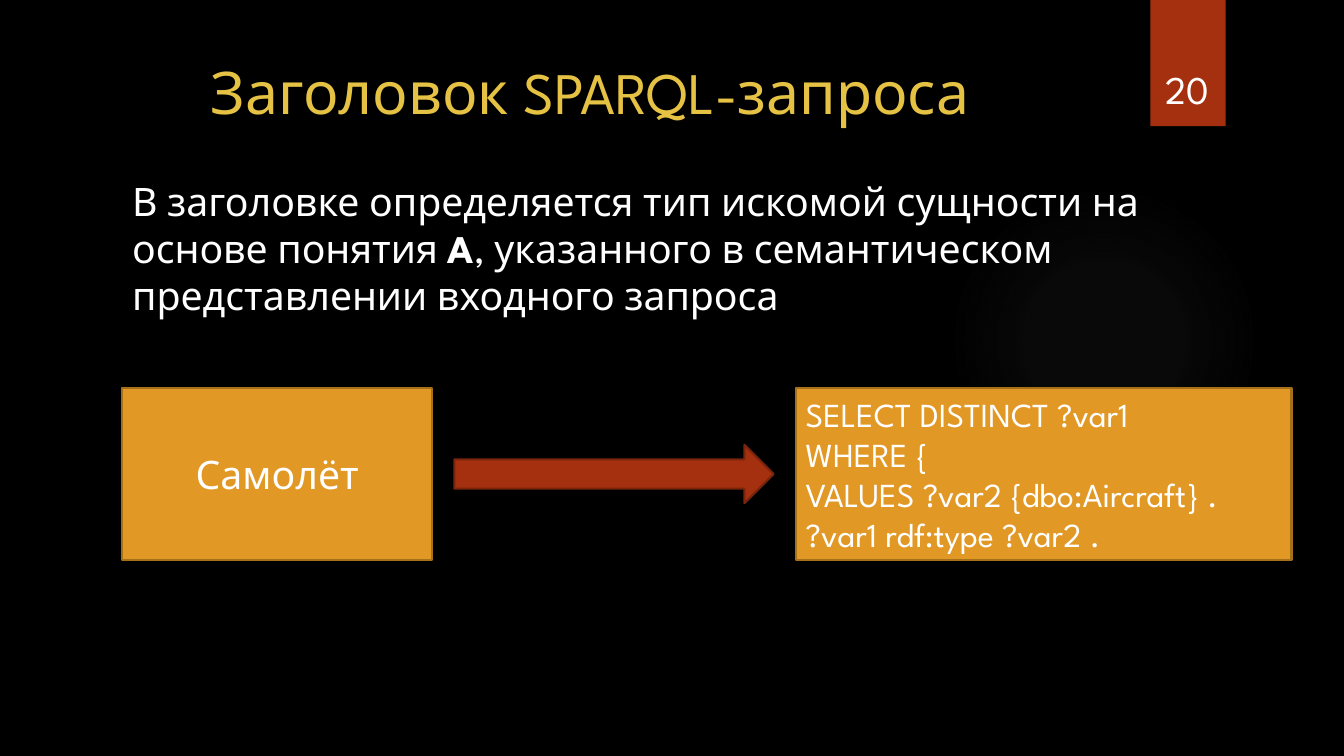
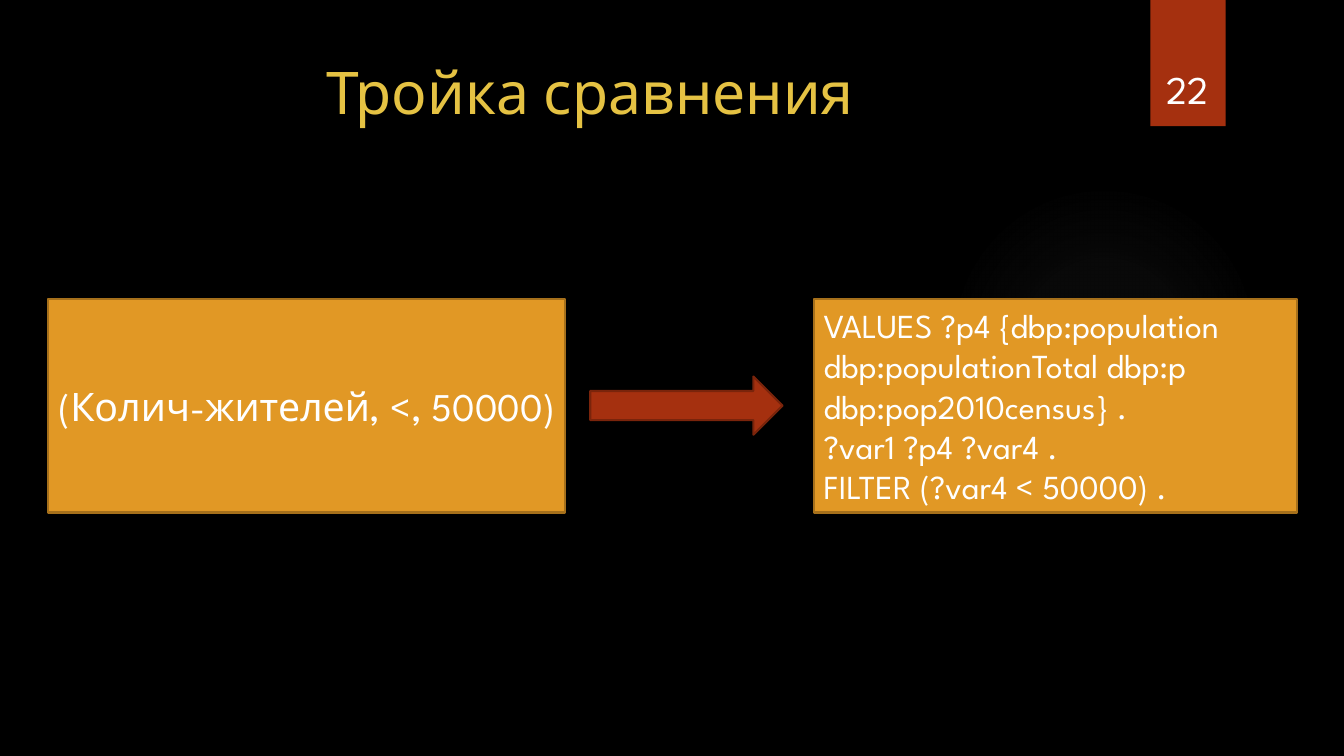
from lxml import etree
from pptx import Presentation
from pptx import util as u
from pptx.dml.color import RGBColor
from pptx.enum import shapes, text
from pptx.oxml import ns

COLORS = {
    "background": "000000", "glow": "848484", "accent": "A5300F", "accent_edge": "7A240B",
    "box": "E19825", "box_edge": "A6701B", "title": "E5C243", "text": "FFFFFF",
}
FONT = "League Spartan"
WIDTH, HEIGHT = u.Inches(13.33), u.Inches(7.5)
ARROW_HEIGHT = 7.7
SHAPE, ALIGN, ANCHOR = shapes.MSO_SHAPE, text.PP_ALIGN, text.MSO_ANCHOR


def rgb(name):
    """Return the named colour."""
    return RGBColor.from_string(COLORS[name])


def place(box):
    """Turn percentages of the slide into left, top, width and height."""
    sides = (WIDTH, HEIGHT, WIDTH, HEIGHT)
    return [u.Emu(round(share * side / 100)) for share, side in zip(box, sides)]


def node(parent, tag, **attrs):
    """Append a DrawingML element."""
    return etree.SubElement(parent, ns.qn(tag), {k: str(v) for k, v in attrs.items()})


def tint(parent, name, alpha):
    """Append a colour with an opacity in percent."""
    node(node(parent, "a:srgbClr", val=COLORS[name]), "a:alpha", val=alpha * 1000)


def add_shape(s, kind, box, fill=None, edge=None):
    """Add a flat preset shape."""
    sp = s.shapes.add_shape(kind, *place(box))
    sp.shadow.inherit = False
    if fill:
        sp.fill.solid()
        sp.fill.fore_color.rgb = rgb(fill)
    else:
        sp.fill.background()
    if edge:
        sp.line.color.rgb = rgb(edge)
        sp.line.width = u.Pt(1.5)
    else:
        sp.line.fill.background()
    return sp


def write(sp, paragraphs, size, color="text", align=ALIGN.LEFT, anchor=ANCHOR.TOP, wrap=True):
    """Fill a shape with paragraphs, each a list of (words, bold) runs."""
    tf = sp.text_frame
    tf.word_wrap = wrap
    tf.vertical_anchor = anchor
    for i, runs in enumerate(paragraphs):
        p = tf.paragraphs[0] if i == 0 else tf.add_paragraph()
        p.alignment = align
        p.font.name, p.font.size, p.font.color.rgb = FONT, u.Pt(size), rgb(color)
        for words, bold in runs:
            r = p.add_run()
            r.text = words
            if bold:
                r.font.bold = True


def plain(*lines):
    """Make one unbolded paragraph of each line."""
    return [[(line, False)] for line in lines]


def add_glow(s, box):
    """Draw the faint radial light."""
    sp = add_shape(s, SHAPE.OVAL, box)
    props = sp._element.spPr
    grad = etree.Element(ns.qn("a:gradFill"), rotWithShape="1")
    stops = node(grad, "a:gsLst")
    for pos, alpha in ((0, 7), (36, 6), (69, 0)):
        tint(node(stops, "a:gs", pos=pos * 1000), "glow", alpha)
    centre = node(grad, "a:path", path="circle")
    node(centre, "a:fillToRect", l=50000, t=50000, r=50000, b=50000)
    props.replace(props.find(ns.qn("a:noFill")), grad)


def add_page_band(s, box, number):
    """Draw the page band with its number."""
    x, y, w, h = box
    band = add_shape(s, SHAPE.RECTANGLE, box, "accent")
    effects = band._element.spPr.find(ns.qn("a:effectLst"))
    shadow = node(effects, "a:outerShdw", blurRad=u.Pt(3), dist=u.Pt(2),
                  dir=90 * 60000, rotWithShape=0)
    tint(shadow, "background", 45)
    label = s.shapes.add_textbox(*place((x - 0.7, y + 4.3, w + 1.3, h - 5.5)))
    write(label, plain(str(number)), 28, align=ALIGN.CENTER, anchor=ANCHOR.BOTTOM)


def add_slide(prs, title, number):
    """Start a slide with the shared background, band and title."""
    s = prs.slides.add_slide(prs.slide_layouts[6])
    s.background.fill.solid()
    s.background.fill.fore_color.rgb = rgb("background")
    add_glow(s, (70.6, 24.4, 23.1, 41.1))
    add_page_band(s, (85.6, 0, 5.6, 16.7), number)
    heading = s.shapes.add_textbox(*place((5.3, 6.7, 77.2, 20.4)))
    write(heading, plain(title), 42, "title", ALIGN.CENTER)
    return s


def add_translation(s, box, columns, phrase, query):
    """Draw phrase, arrow and query; columns are edges in percent of the box."""
    x, y, w, h = box
    phrase_end, arrow_start, arrow_end, query_start = (x + w * c / 100 for c in columns)
    source = add_shape(s, SHAPE.RECTANGLE, (x, y, phrase_end - x, h), "box", "box_edge")
    write(source, plain(phrase), 28, align=ALIGN.CENTER, anchor=ANCHOR.MIDDLE, wrap=False)
    add_shape(s, SHAPE.RIGHT_ARROW,
              (arrow_start, y + (h - ARROW_HEIGHT) / 2, arrow_end - arrow_start, ARROW_HEIGHT),
              "accent", "accent_edge")
    target = add_shape(s, SHAPE.RECTANGLE, (query_start, y, x + w - query_start, h),
                       "box", "box_edge")
    write(target, plain(*query), 24, anchor=ANCHOR.MIDDLE)


def header_slide(prs):
    """Build the slide on the query header."""
    s = add_slide(prs, "Заголовок SPARQL-запроса", 20)
    body = s.shapes.add_textbox(*place((9.1, 22.8, 86.3, 15.9)))
    write(body, [[
        ("В заголовке определяется тип искомой сущности на основе понятия ", False),
        ("A", True),
        (", указанного в семантическом представлении входного запроса", False),
    ]], 28)
    add_translation(s, (9.1, 51.3, 87, 22.8), (26.5, 28.4, 55.7, 57.6), "Самолёт", (
        "SELECT DISTINCT ?var1",
        "WHERE {",
        "VALUES ?var2 {dbo:Aircraft} .",
        "?var1 rdf:type ?var2 .",
    ))


def comparison_slide(prs):
    """Build the slide on the comparison triple."""
    s = add_slide(prs, "Тройка сравнения", 22)
    add_translation(s, (3.6, 39.5, 92.9, 28.3), (41.4, 43.4, 58.8, 61.3),
                    "(Колич-жителей, <, 50000)", (
        "VALUES ?p4 {dbp:population dbp:populationTotal dbp:p dbp:pop2010census} .",
        "?var1 ?p4 ?var4 .",
        "FILTER (?var4 < 50000) .",
    ))


def main():
    """Build and save the presentation."""
    prs = Presentation()
    prs.slide_width, prs.slide_height = WIDTH, HEIGHT
    header_slide(prs)
    comparison_slide(prs)
    prs.save("out.pptx")


if __name__ == "__main__":
    main()
